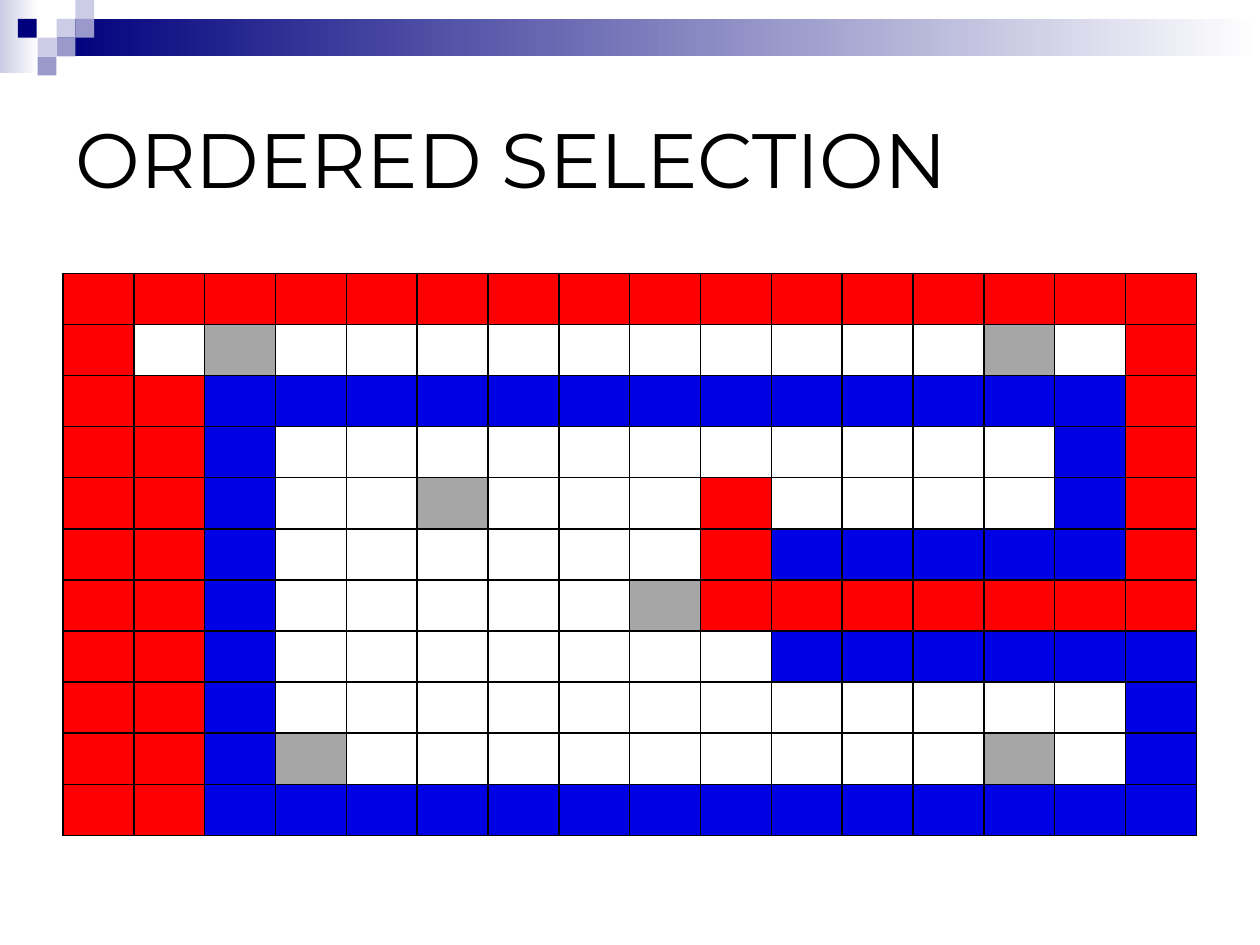
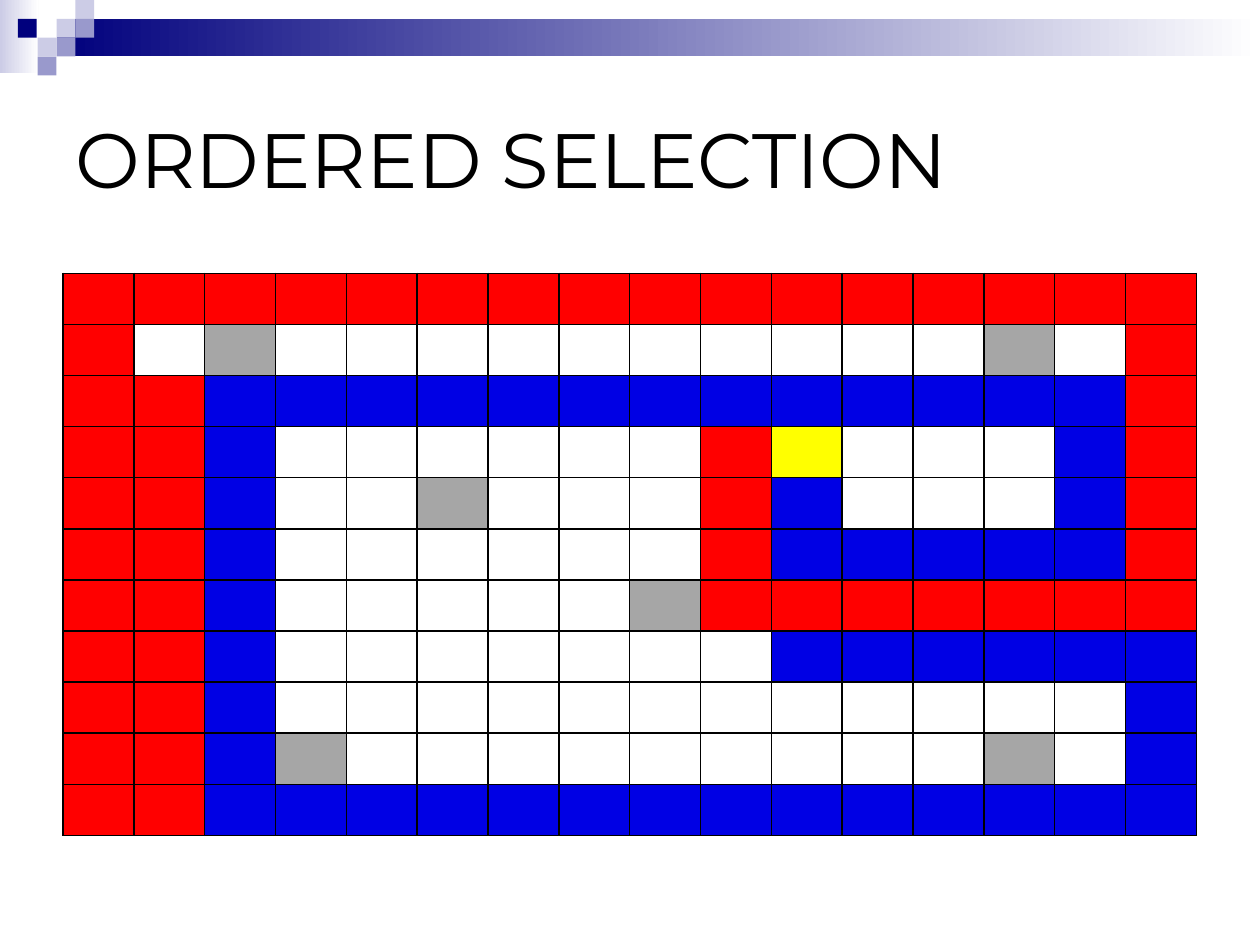
from lxml.etree import SubElement
from pptx import Presentation
from pptx.dml.color import RGBColor
from pptx.enum.shapes import MSO_SHAPE
from pptx.enum.text import MSO_ANCHOR, MSO_AUTO_SIZE, PP_ALIGN
from pptx.oxml.ns import qn
from pptx.util import Cm, Pt

# Colours and font
BLACK = RGBColor(0x00, 0x00, 0x00)
WHITE = RGBColor(0xFF, 0xFF, 0xFF)
RED = RGBColor(0xFF, 0x00, 0x00)
BLUE = RGBColor(0x00, 0x00, 0xE4)
GRAY = RGBColor(0xA6, 0xA6, 0xA6)
YELLOW = RGBColor(0xFF, 0xFF, 0x00)
NAVY = RGBColor(0x00, 0x00, 0x7D)
LILAC = RGBColor(0xCC, 0xCC, 0xE6)
VIOLET = RGBColor(0x99, 0x99, 0xCC)
FONT = "Montserrat"

# Content: one letter per cell; later slides list only the cells that change
TITLE = "ORDERED SELECTION"
CELL_COLORS = {"R": RED, "B": BLUE, "A": GRAY, "Y": YELLOW, ".": WHITE}
MAZE = [
    "RRRRRRRRRRRRRRRR",
    "R.A..........A.R",
    "RRBBBBBBBBBBBBBR",
    "RRB...........BR",
    "RRB..A...R....BR",
    "RRB......RBBBBBR",
    "RRB.....ARRRRRRR",
    "RRB.......BBBBBB",
    "RRB............B",
    "RRBA.........A.B",
    "RRBBBBBBBBBBBBBB",
]
STEPS = [
    {},
    {(3, 9): "R", (3, 10): "Y", (4, 10): "B"},
]

# Header ornament in units of one small square: left, top, width, height, colours
UNIT = 0.38
ORNAMENT = [
    (0, 0, 2.05, 3.85, (LILAC, WHITE)),
    (3, 1, 63.84, 2, (NAVY, WHITE)),
    (3, 1, 1, 1, (LILAC,)),
    (4, 0, 1, 1, (LILAC,)),
    (4, 1, 1, 1, (VIOLET,)),
    (2, 2, 1, 1, (LILAC,)),
    (0.95, 1, 1, 1, (NAVY,)),
    (3, 2, 1, 1, (VIOLET,)),
    (2, 3, 1, 1, (VIOLET,)),
]

LEFT, WIDTH = Cm(1.27), Cm(22.86)


def write(tf, text, size=44, color=BLACK, align=PP_ALIGN.LEFT, anchor=MSO_ANCHOR.MIDDLE):
    tf.word_wrap = True
    tf.auto_size = MSO_AUTO_SIZE.NONE
    tf.vertical_anchor = anchor
    p = tf.paragraphs[0]
    p.alignment = align
    r = p.add_run()
    r.text = text
    r.font.name, r.font.size, r.font.color.rgb = FONT, Pt(size), color


def paint(fill, colors):
    if len(colors) == 1:
        fill.solid()
        fill.fore_color.rgb = colors[0]
        return
    fill.gradient()
    fill.gradient_angle = 0
    for stop, color in zip(fill.gradient_stops, colors):
        stop.color.rgb = color


def add_ornament(s, layout):
    """Draw the header group, then move it to the layout behind everything."""
    group = s.shapes.add_group_shape()
    for x, y, w, h, colors in ORNAMENT:
        box = [Cm(v * UNIT) for v in (x, y, w, h)]
        sp = group.shapes.add_shape(MSO_SHAPE.RECTANGLE, *box)
        sp.shadow.inherit = False
        sp.line.fill.background()
        paint(sp.fill, colors)
    layout.shapes._spTree.insert(2, group._element)


def add_borders(cell):
    tcPr = cell._tc.get_or_add_tcPr()
    for i, side in enumerate(("lnL", "lnR", "lnT", "lnB")):
        ln = SubElement(tcPr, qn("a:" + side), w=str(Pt(1)))
        fill = SubElement(ln, qn("a:solidFill"))
        SubElement(fill, qn("a:srgbClr"), val=str(BLACK))
        tcPr.insert(i, ln)


def add_maze(s, changes):
    n_rows, n_cols = len(MAZE), len(MAZE[0])
    table = s.shapes.add_table(n_rows, n_cols, LEFT, Cm(5.51), WIDTH, Cm(11.33)).table
    table.first_row = table.horz_banding = False
    for i, row in enumerate(MAZE):
        for j, letter in enumerate(row):
            cell = table.cell(i, j)
            cell.margin_top = cell.margin_bottom = 0
            paint(cell.fill, [CELL_COLORS[changes.get((i, j), letter)]])
            add_borders(cell)


prs = Presentation()
prs.slide_width, prs.slide_height = Cm(25.4), Cm(19.05)
layout = prs.slide_layouts.get_by_name("Title Only")

for n, changes in enumerate(STEPS):
    s = prs.slides.add_slide(layout)
    if n == 0:
        add_ornament(s, layout)
    title = s.shapes.title
    title.left, title.top, title.width, title.height = LEFT, Cm(1.27), WIDTH, Cm(3.81)
    write(title.text_frame, TITLE)
    add_maze(s, changes)

prs.save("out.pptx")
